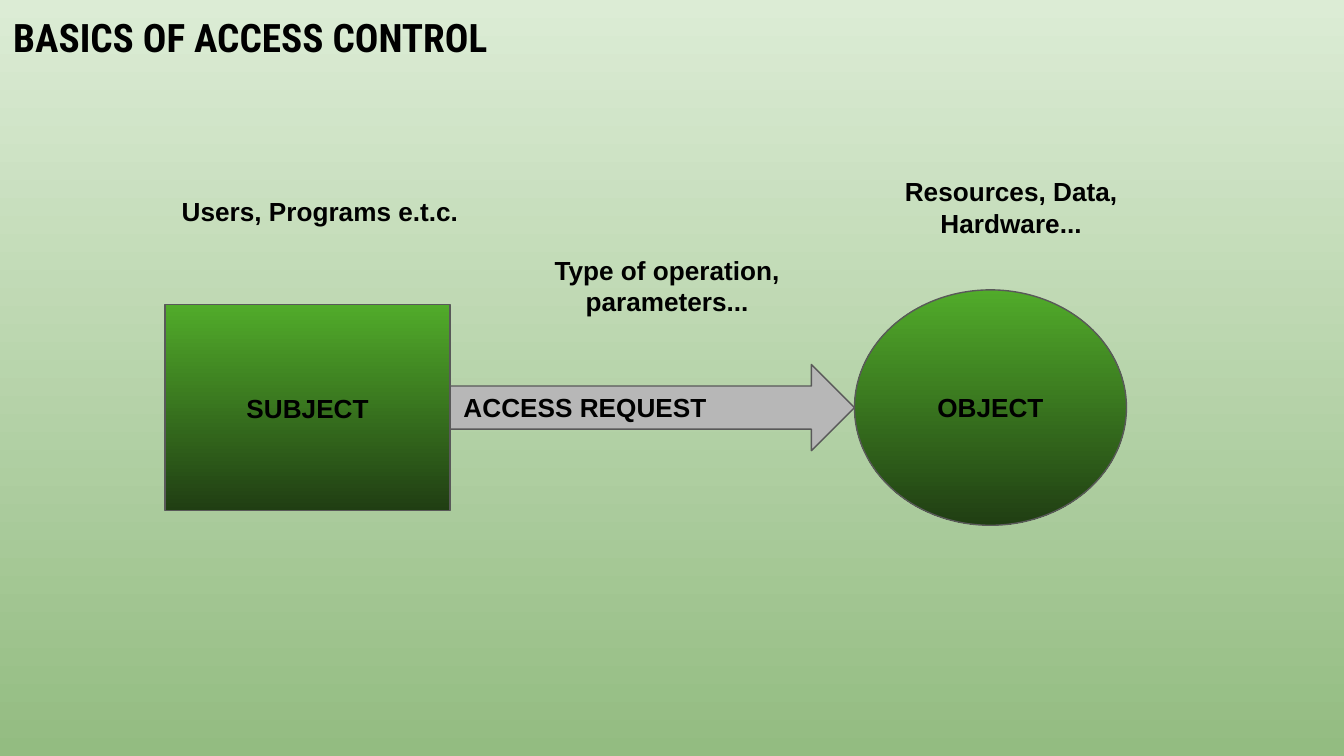
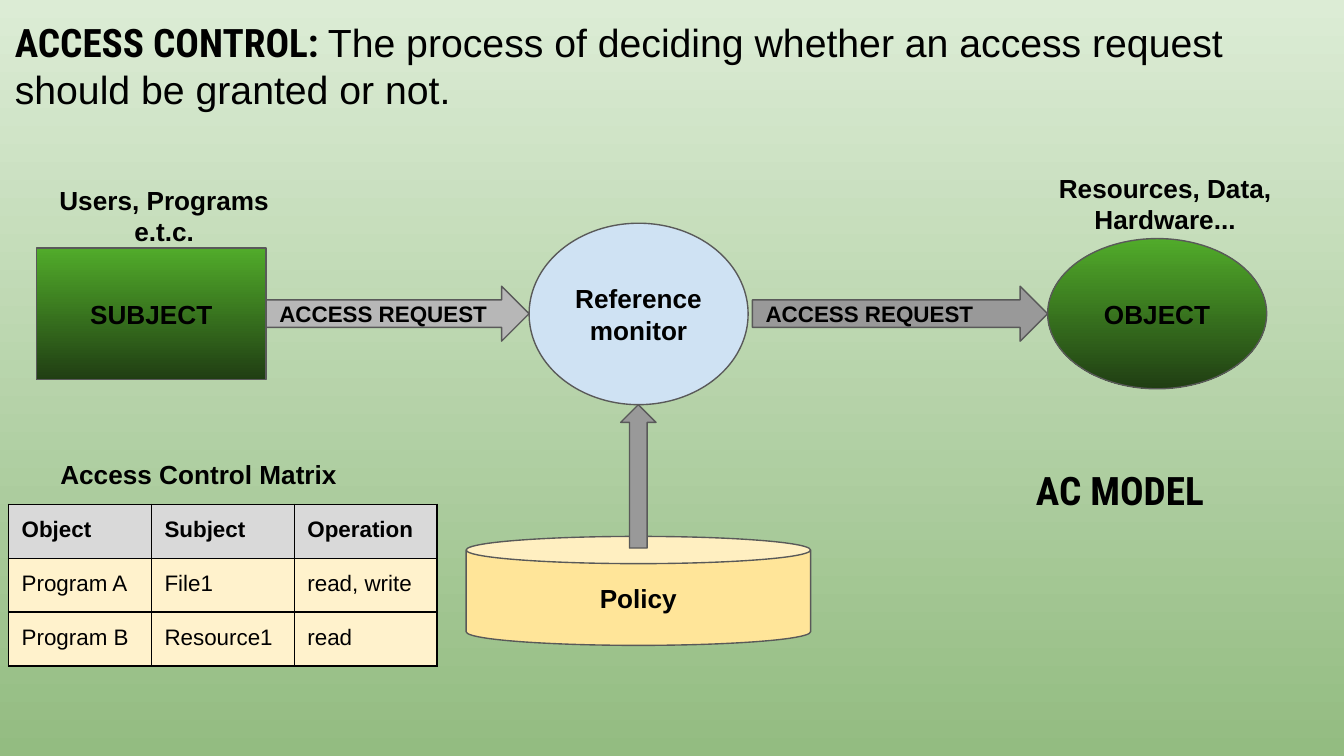
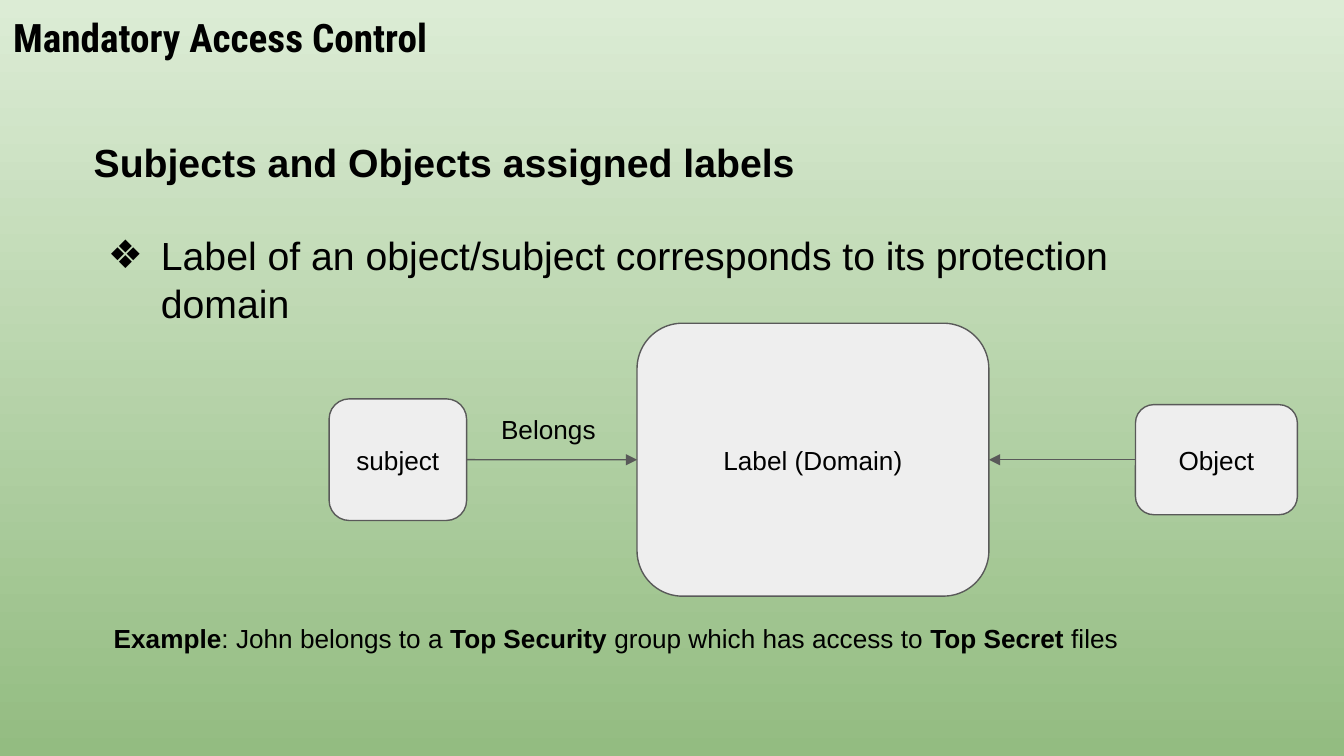
from lxml import etree
from pptx import Presentation
from pptx.dml import color
from pptx.enum import shapes, text
from pptx.oxml import ns
from pptx.util import Cm, Pt

INK, EDGE = "000000", "595959"
PAGE, LEAF = ("DCECD5", "93BC81"), ("51AB2A", "203E13")
PALE, DARK, SKY, GOLD, MIST = "B7B7B7", "999999", "CFE2F3", "FFE599", "EEEEEE"
HEAD, CELL = "D9D9D9", "FFF2CC"
SANS, SLIM = "Arial", "Roboto Condensed"
BIG, MID, LOW = 21, 14, 12
PAD = 0.25
KIND = shapes.MSO_SHAPE
LEFT, CENTER = text.PP_ALIGN.LEFT, text.PP_ALIGN.CENTER
TOP, MIDDLE = text.MSO_ANCHOR.TOP, text.MSO_ANCHOR.MIDDLE


def rgb(code):
    return color.RGBColor.from_string(code)


def add(parent, tag, **attrs):
    return etree.SubElement(parent, ns.qn(tag), attrs)


def paint(fill, tone):
    if isinstance(tone, str):
        fill.solid()
        fill.fore_color.rgb = rgb(tone)
        return
    fill.gradient()
    fill.gradient_angle = 270
    for stop, code in zip(fill.gradient_stops, tone):
        stop.color.rgb = rgb(code)


def style(para, size, bold=None, font=None, align=LEFT):
    para.alignment = align
    para.font.size = Pt(size)
    para.font.bold = bold
    para.font.name = font
    para.font.color.rgb = rgb(INK)


def setup(frame, anchor=TOP):
    frame.word_wrap = True
    frame.auto_size = text.MSO_AUTO_SIZE.NONE
    frame.vertical_anchor = anchor
    frame.margin_left = frame.margin_right = Cm(PAD)
    frame.margin_top = frame.margin_bottom = Cm(PAD)


def write(frame, words, size=MID, bold=True, font=SANS, align=LEFT, anchor=TOP):
    setup(frame, anchor)
    frame.text = words
    style(frame.paragraphs[0], size, bold, font, align)


def blend(frame, runs, size):
    setup(frame)
    para = frame.paragraphs[0]
    for words, bold, font in runs:
        run = para.add_run()
        run.text = words
        run.font.bold = bold
        run.font.name = font
    style(para, size)


def place(shape, box):
    shape.left, shape.top, shape.width, shape.height = map(Cm, box)
    return shape.text_frame


def title(slide, box):
    return place(slide.shapes.title, box)


def label(slide, box):
    return slide.shapes.add_textbox(*map(Cm, box)).text_frame


def block(slide, kind, box, tone, words="", size=MID, bold=True, align=CENTER):
    shape = slide.shapes.add_shape(kind, *map(Cm, box))
    shape.shadow.inherit = False
    paint(shape.fill, tone)
    shape.line.color.rgb = rgb(EDGE)
    shape.line.width = Pt(0.75)
    if words:
        write(shape.text_frame, words, size, bold, SANS, align, MIDDLE)
    return shape


def arrow(slide, start, exit, end, entry):
    line = slide.shapes.add_connector(shapes.MSO_CONNECTOR.STRAIGHT, 0, 0, 0, 0)
    line.begin_connect(start, exit)
    line.end_connect(end, entry)
    line.line.color.rgb = rgb(EDGE)
    line.line.width = Pt(0.75)
    add(line.line._get_or_add_ln(), "a:tailEnd", type="triangle")
    add(line._element.spPr, "a:effectLst")


def border(cell):
    props = cell._tc.get_or_add_tcPr()
    for side in "LRTB":
        edge = add(props, f"a:ln{side}", w=str(Pt(0.75)))
        add(add(edge, "a:solidFill"), "a:srgbClr", val=INK)


def matrix(slide, left, top, rows, wide, high):
    size = len(rows), len(rows[0])
    frame = slide.shapes.add_table(
        *size, Cm(left), Cm(top), Cm(wide * size[1]), Cm(high * size[0]))
    table = frame.table
    for col in table.columns:
        col.width = Cm(wide)
    for r, row in enumerate(rows):
        table.rows[r].height = Cm(high)
        for c, words in enumerate(row):
            cell = table.cell(r, c)
            border(cell)
            paint(cell.fill, CELL if r else HEAD)
            cell.margin_left = cell.margin_right = Cm(PAD)
            cell.margin_top = cell.margin_bottom = Cm(PAD)
            cell.text = words
            style(cell.text_frame.paragraphs[0], LOW, r == 0, SANS)


def points(slide, box, lead, items):
    frame = place(slide.placeholders[1], box)
    setup(frame)
    frame.text = "\n".join([lead, *items])
    for i, para in enumerate(frame.paragraphs):
        props = para._p.get_or_add_pPr()
        props.set("marL", str(Cm(1.27) if i else 0))
        props.set("indent", str(Cm(-1) if i else 0))
        if i:
            add(add(props, "a:buClr"), "a:srgbClr", val=INK)
            add(props, "a:buChar", char="❖")
        else:
            add(props, "a:buNone")
        para.space_before = Pt(25 if i else 0)
        style(para, BIG, i == 0, SANS)


def basics(slide):
    write(title(slide, (0, 0, 14.43, 1.42)), "BASICS OF ACCESS CONTROL", BIG, font=SLIM)
    block(slide, KIND.RECTANGLE, (3.12, 5.76, 5.39, 3.89), LEAF, "SUBJECT")
    block(slide, KIND.OVAL, (16.15, 5.48, 5.14, 4.45), LEAF, "OBJECT")
    block(slide, KIND.RIGHT_ARROW, (8.51, 6.89, 7.64, 1.63), PALE,
          "ACCESS REQUEST", align=LEFT)
    for box, words in (
        ((9.27, 4.55, 6.68, 1.7), "Type of operation, parameters..."),
        ((3.05, 3.45, 6, 1.12), "Users, Programs e.t.c."),
        ((15.77, 3.07, 6.68, 1.7), "Resources, Data, Hardware..."),
    ):
        write(label(slide, box), words, align=CENTER)


def model(slide):
    blend(title(slide, (0.03, 0.1, 24.41, 3.2)), (
        ("ACCESS CONTROL: ", True, SLIM),
        ("The process of deciding whether an access request "
         "should be granted or not.", False, SANS),
    ), BIG)
    block(slide, KIND.RECTANGLE, (0.69, 4.69, 4.34, 2.49), LEAF, "SUBJECT")
    block(slide, KIND.OVAL, (19.8, 4.51, 4.14, 2.84), LEAF, "OBJECT")
    for left, wide, tone in ((5.03, 4.97, PALE), (14.22, 5.58, DARK)):
        block(slide, KIND.RIGHT_ARROW, (left, 5.41, wide, 1.04), tone,
              "ACCESS REQUEST", LOW, align=LEFT)
    block(slide, KIND.OVAL, (10, 4.22, 4.14, 3.43), SKY, "Reference monitor")
    block(slide, KIND.CAN, (8.81, 10.14, 6.51, 2.06), GOLD, "Policy")
    block(slide, KIND.UP_ARROW, (11.73, 7.65, 0.67, 2.71), DARK)
    for box, words in (
        ((0.69, 3.23, 4.83, 1.7), "Users, Programs e.t.c."),
        ((19.33, 3, 5.38, 1.7), "Resources, Data, Hardware..."),
    ):
        write(label(slide, box), words, align=CENTER)
    write(label(slide, (0.89, 8.41, 6.88, 1.12)), "Access Control Matrix")
    write(label(slide, (19.33, 8.56, 4.47, 1.42)), "AC MODEL", BIG, font=SLIM)
    matrix(slide, 0.16, 9.53, (
        ("Object", "Subject", "Operation"),
        ("Program A", "File1", "read, write"),
        ("Program B", "Resource1", "read"),
    ), 2.7, 1.02)


def labels(slide):
    write(title(slide, (0, 0, 24.41, 2.31)), "Mandatory Access Control", BIG, font=SLIM)
    points(slide, (1.52, 2.36, 20.62, 6.81), "Subjects and Objects assigned labels",
           ["Label of an object/subject corresponds to its protection domain"])
    axis = 8.69
    subject, domain, item = (
        block(slide, KIND.ROUNDED_RECTANGLE, (left, axis - high / 2, wide, high),
              MIST, words, bold=False)
        for left, wide, high, words in (
            (6.22, 2.6, 2.3, "subject"),
            (12.04, 6.65, 5.16, "Label (Domain)"),
            (21.46, 3.06, 2.08, "Object"),
        ))
    arrow(slide, subject, 3, domain, 1)
    arrow(slide, item, 1, domain, 3)
    write(label(slide, (9.22, 7.57, 2.82, 1.12)), "Belongs", bold=False)
    blend(label(slide, (1.9, 11.51, 20.62, 1.12)), (
        ("Example", True, SANS),
        (": John belongs to a ", False, SANS),
        ("Top Security", True, SANS),
        (" group which has access to ", False, SANS),
        ("Top Secret ", True, SANS),
        ("files", False, SANS),
    ), MID)


def main():
    deck = Presentation()
    deck.slide_width, deck.slide_height = Cm(25.4), Cm(14.29)
    paint(deck.slide_master.background.fill, PAGE)
    for build, kind in ((basics, 5), (model, 5), (labels, 1)):
        build(deck.slides.add_slide(deck.slide_layouts[kind]))
    deck.save("out.pptx")


if __name__ == "__main__":
    main()
